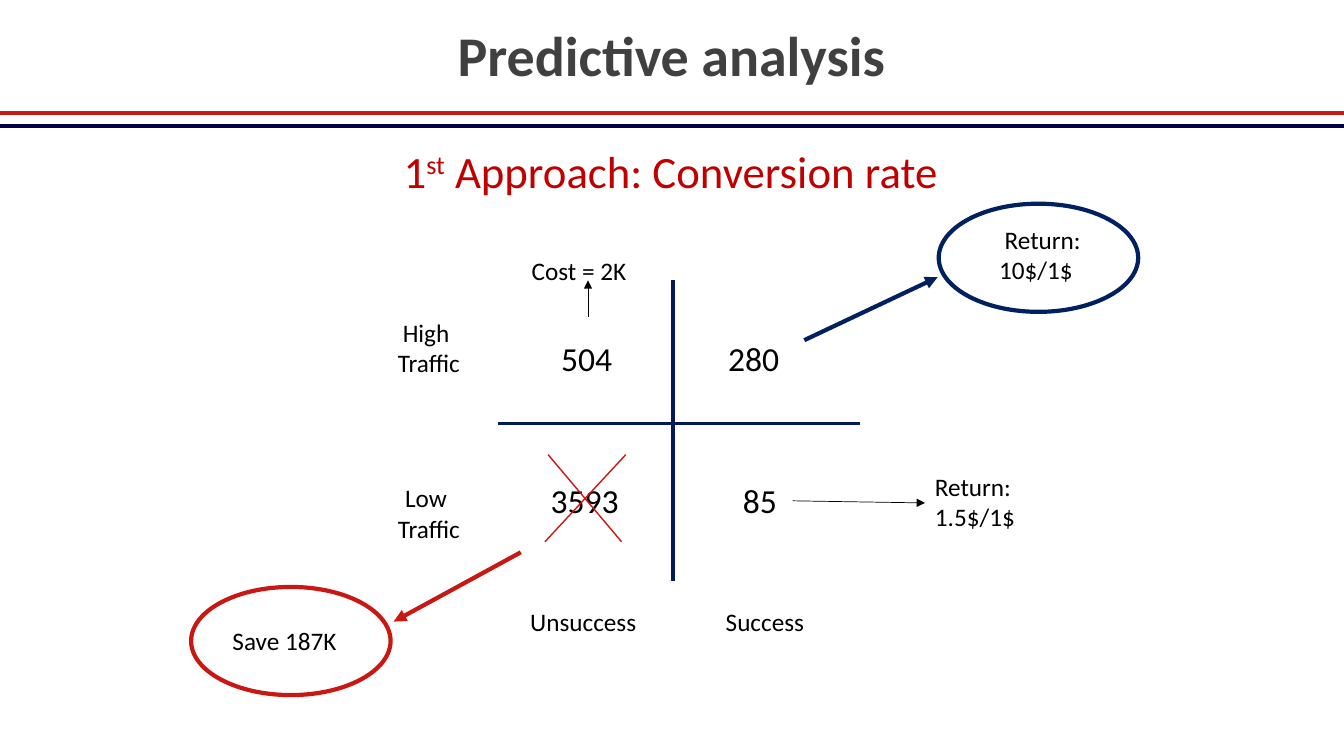
"""Build the predictive analysis slide with its traffic and success quadrant."""
from lxml import etree
from pptx import Presentation
from pptx import util as u
from pptx.dml.color import RGBColor
from pptx.enum import shapes, text
from pptx.oxml.ns import qn

PX = 9525
GREY = RGBColor(0x40, 0x40, 0x40)
BLACK = RGBColor(0, 0, 0)
NAVY = RGBColor(0x00, 0x00, 0x44)
AXIS = RGBColor(0x02, 0x1B, 0x56)
BLUE = RGBColor(0x00, 0x20, 0x60)
RED = RGBColor(0xC9, 0x17, 0x14)
CRIMSON = RGBColor(0xC0, 0x00, 0x00)
LEFT, CENTER = text.PP_ALIGN.LEFT, text.PP_ALIGN.CENTER


def add_line(x1, y1, x2, y2, color, width, arrow=False):
    """Draw a straight line, with an arrowhead at its end if asked."""
    sp = s.shapes.add_connector(shapes.MSO_CONNECTOR.STRAIGHT, x1 * PX, y1 * PX, x2 * PX, y2 * PX)
    sp.line.color.rgb = color
    sp.line.width = u.Pt(width)
    if arrow:
        etree.SubElement(sp.line._get_or_add_ln(), qn("a:tailEnd"), type="triangle")
    etree.SubElement(sp._element.spPr, qn("a:effectLst"))


def add_text(x, y, w, h, lines, size, color=BLACK, align=LEFT, wrap=True):
    """Add a text box with one paragraph per line."""
    tf = s.shapes.add_textbox(x * PX, y * PX, w * PX, h * PX).text_frame
    tf.word_wrap = wrap
    tf.auto_size = text.MSO_AUTO_SIZE.SHAPE_TO_FIT_TEXT
    tf.text = "\n".join(lines)
    for p in tf.paragraphs:
        p.alignment = align
        for r in p.runs:
            for name, value in {"name": "Calibri", "size": u.Pt(size)}.items():
                setattr(r.font, name, value)
            r.font.color.rgb = color
    return tf


prs = Presentation()
prs.slide_width, prs.slide_height = 1280 * PX, 720 * PX
s = prs.slides.add_slide(prs.slide_layouts[5])

title = s.shapes.title
title.left, title.top, title.width, title.height = 398 * PX, 31 * PX, 483 * PX, 50 * PX
tf = title.text_frame
tf.text = "Predictive analysis"
for name, value in {"margin_left": 0, "margin_right": 0, "margin_top": 0, "margin_bottom": 0,
                    "word_wrap": False, "auto_size": text.MSO_AUTO_SIZE.NONE,
                    "vertical_anchor": text.MSO_ANCHOR.MIDDLE}.items():
    setattr(tf, name, value)
p = tf.paragraphs[0]
p.alignment, p.line_spacing = CENTER, 0.9
r = p.runs[0]
for name, value in {"name": "Calibri", "size": u.Pt(40), "bold": True}.items():
    setattr(r.font, name, value)
r.font.color.rgb = GREY

for y, color in ((120, NAVY), (108, RED)):
    add_line(0, y, 1280, y, color, 3)

p = add_text(375, 132, 530, 61, ["1"], 32, CRIMSON, wrap=False).paragraphs[0]
for part, baseline in (("st", "30000"), (" Approach: Conversion rate", "0")):
    r = p.add_run()
    r.text = part
    for name, value in {"name": "Calibri", "size": u.Pt(32)}.items():
        setattr(r.font, name, value)
    r.font.color.rgb = CRIMSON
    r._r.get_or_add_rPr().set("baseline", baseline)

add_line(641, 267, 641, 553, AXIS, 3)
add_line(474, 403, 819, 403, AXIS, 2.25)

for x, y, w, count in ((525, 317, 73, "504"), (684, 317, 70, "280"),
                       (515, 452, 94, "3593"), (698, 452, 56, "85")):
    add_text(x, y, w, 48, [count], 24)

for y, level in ((297, "High "), (455, "Low ")):
    add_text(343, y, 131, 68, [level, "Traffic"], 18, align=CENTER)
for x, outcome in ((490, "Unsuccess"), (663, "Success")):
    add_text(x, 573, 131, 38, [outcome], 18, align=CENTER)

for x, y, color in ((894, 194, BLUE), (182, 559, RED)):
    sp = s.shapes.add_shape(shapes.MSO_SHAPE.OVAL, x * PX, y * PX, 190 * PX, 103 * PX)
    sp.shadow.inherit = False
    sp.fill.background()
    sp.line.color.rgb = color
    sp.line.width = u.Pt(3)

for x, y, w, h, lines in ((212, 591, 131, 38, ["Save 187K"]),
                          (942, 209, 128, 68, [" Return:", "10$/1$"]),
                          (881, 444, 149, 68, ["Return:", "1.5$/1$"]),
                          (497, 238, 149, 38, ["Cost = 2K"])):
    add_text(x, y, w, h, lines, 18)

for x1, x2 in ((522, 592), (596, 519)):
    add_line(x1, 433, x2, 516, RED, 1)

for x1, y1, x2, y2, color, width in ((496, 526, 375, 592, RED, 3),
                                     (766, 324, 893, 264, BLUE, 3),
                                     (755, 477, 881, 479, BLACK, 0.5),
                                     (560, 302, 560, 267, BLACK, 0.5)):
    add_line(x1, y1, x2, y2, color, width, arrow=True)

prs.save("out.pptx")
